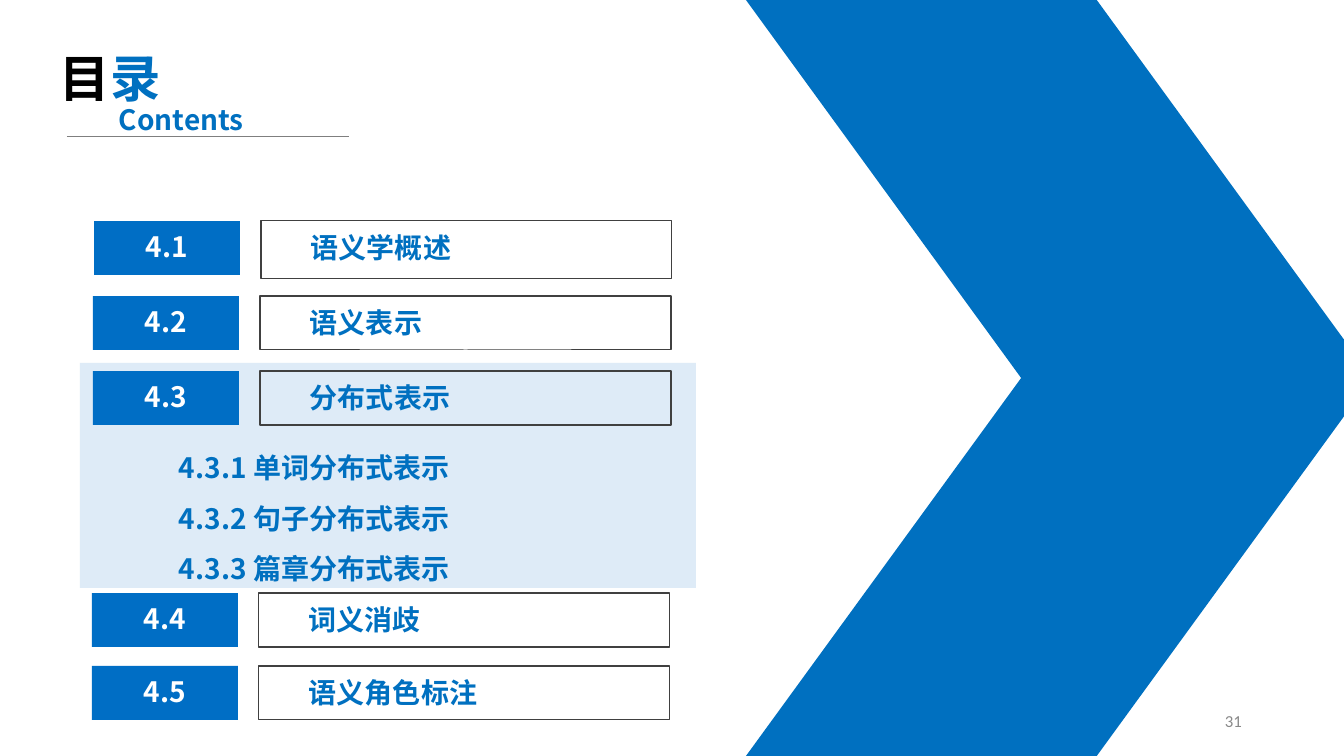
from dataclasses import dataclass

from lxml.etree import SubElement
from pptx import Presentation
from pptx.dml.color import RGBColor
from pptx.enum.shapes import MSO_CONNECTOR, MSO_SHAPE
from pptx.enum.text import MSO_ANCHOR, MSO_AUTO_SIZE, PP_ALIGN
from pptx.oxml.ns import qn
from pptx.util import Pt

PX = 914400 / 100.8


@dataclass(frozen=True)
class Theme:
    blue: str = "0070C0"
    badge: str = "006EC5"
    highlight: str = "DEEBF7"
    outline: str = "404040"
    rule: str = "7F7F7F"
    black: str = "000000"
    white: str = "FFFFFF"
    grey: str = "898989"
    font: str = "Noto Sans CJK SC"
    number_font: str = "Calibri"
    title: int = 36
    body: int = 20
    small: int = 12


THEME = Theme()


def emu(*lengths):
    return [round(length * PX) for length in lengths]


def add_block(page, box, fill=None, line=None, kind=MSO_SHAPE.RECTANGLE):
    shape = page.shapes.add_shape(kind, *emu(*box))
    shape.shadow.inherit = False
    if fill:
        shape.fill.solid()
        shape.fill.fore_color.rgb = RGBColor.from_string(fill)
    else:
        shape.fill.background()
    if line:
        shape.line.color.rgb = RGBColor.from_string(line)
        shape.line.width = Pt(0.75)
    else:
        shape.line.fill.background()
    return shape


def add_text(page, box, paragraphs, size=THEME.body, font=THEME.font, bold=True,
             frame_format=None, para_format=None):
    """Each paragraph is a list of (words, colour) spans."""
    frame = page.shapes.add_textbox(*emu(*box)).text_frame
    defaults = {"word_wrap": True, "auto_size": MSO_AUTO_SIZE.SHAPE_TO_FIT_TEXT}
    for name, value in {**defaults, **(frame_format or {})}.items():
        setattr(frame, name, value)
    for index, spans in enumerate(paragraphs):
        para = frame.add_paragraph() if index else frame.paragraphs[0]
        for name, value in (para_format or {}).items():
            setattr(para, name, value)
        for words, colour in spans:
            span = para.add_run()
            span.text = words
            for name, value in {"size": Pt(size), "bold": bold, "name": font}.items():
                setattr(span.font, name, value)
            span.font.color.rgb = RGBColor.from_string(colour)
            SubElement(span.font._element, qn("a:ea"), typeface=font)


def add_chevron(page, left, top, width, height):
    half = height // 2
    for flipped in (False, True):
        y = top if flipped else top + half
        arm = add_block(page, (left, y, width, half), THEME.blue,
                        kind=MSO_SHAPE.PARALLELOGRAM)
        arm.adjustments[0] = 0.728
        if flipped:
            arm._element.spPr.xfrm.set("flipV", "1")


def add_heading(page, left, top):
    add_text(page, (left, top, 158, 71),
             [[("目", THEME.black), ("录", THEME.blue)]], THEME.title)
    x, y, length = left + 17, top + 94, 282
    rule = page.shapes.add_connector(MSO_CONNECTOR.STRAIGHT, *emu(x, y, x + length, y))
    rule.line.color.rgb = RGBColor.from_string(THEME.rule)
    rule.line.width = Pt(0.5)
    SubElement(rule._element.spPr, qn("a:effectLst"))
    add_text(page, (left + 59, top + 56, 158, 44), [[("Contents", THEME.blue)]])


def add_entry(page, left, top, height, number, label):
    add_block(page, (left + 167, top, 411, height), line=THEME.outline)
    add_text(page, (left + 207, top + 5, 305, 44), [[(label, THEME.blue)]])
    add_block(page, (left, top, 146, 54), THEME.badge)
    add_text(page, (left + 20, top + 4, 106, 44), [[(number, THEME.white)]],
             para_format={"alignment": PP_ALIGN.CENTER})


def add_current_section(page, left, top, topics):
    add_block(page, (left, top, 616, 225), THEME.highlight)
    add_text(page, (left + 89, top + 66, 494, 157),
             [[(topic, THEME.blue)] for topic in topics],
             para_format={"line_spacing": 1.5})


def add_page_number(page, box, number):
    add_text(page, box, [[(number, THEME.grey)]], THEME.small, THEME.number_font, False,
             {"auto_size": MSO_AUTO_SIZE.NONE, "vertical_anchor": MSO_ANCHOR.MIDDLE},
             {"alignment": PP_ALIGN.RIGHT})


def add_contents_page(deck):
    page = deck.slides.add_slide(deck.slide_layouts[6])
    # Highlighted section and its topics
    add_current_section(page, 80, 363, (
        "4.3.1 单词分布式表示", "4.3.2 句子分布式表示", "4.3.3 篇章分布式表示"))
    # Large chevron on the right
    add_chevron(page, 746, 0, 626, 756)
    # Heading
    add_heading(page, 50, 42)
    # Chapter entries
    entries = (
        (94, 221, 58, "语义学概述"),
        (93, 296, 54, "语义表示"),
        (93, 371, 54, "分布式表示"),
        (92, 593, 54, "词义消歧"),
        (92, 666, 54, "语义角色标注"),
    )
    for index, (left, top, height, label) in enumerate(entries, 1):
        add_entry(page, left, top, height, f"4.{index}", label)
    # Page number
    add_page_number(page, (950, 701, 302, 40), "31")


def main():
    deck = Presentation()
    deck.slide_width, deck.slide_height = emu(1344, 756)
    add_contents_page(deck)
    deck.save("out.pptx")


if __name__ == "__main__":
    main()
